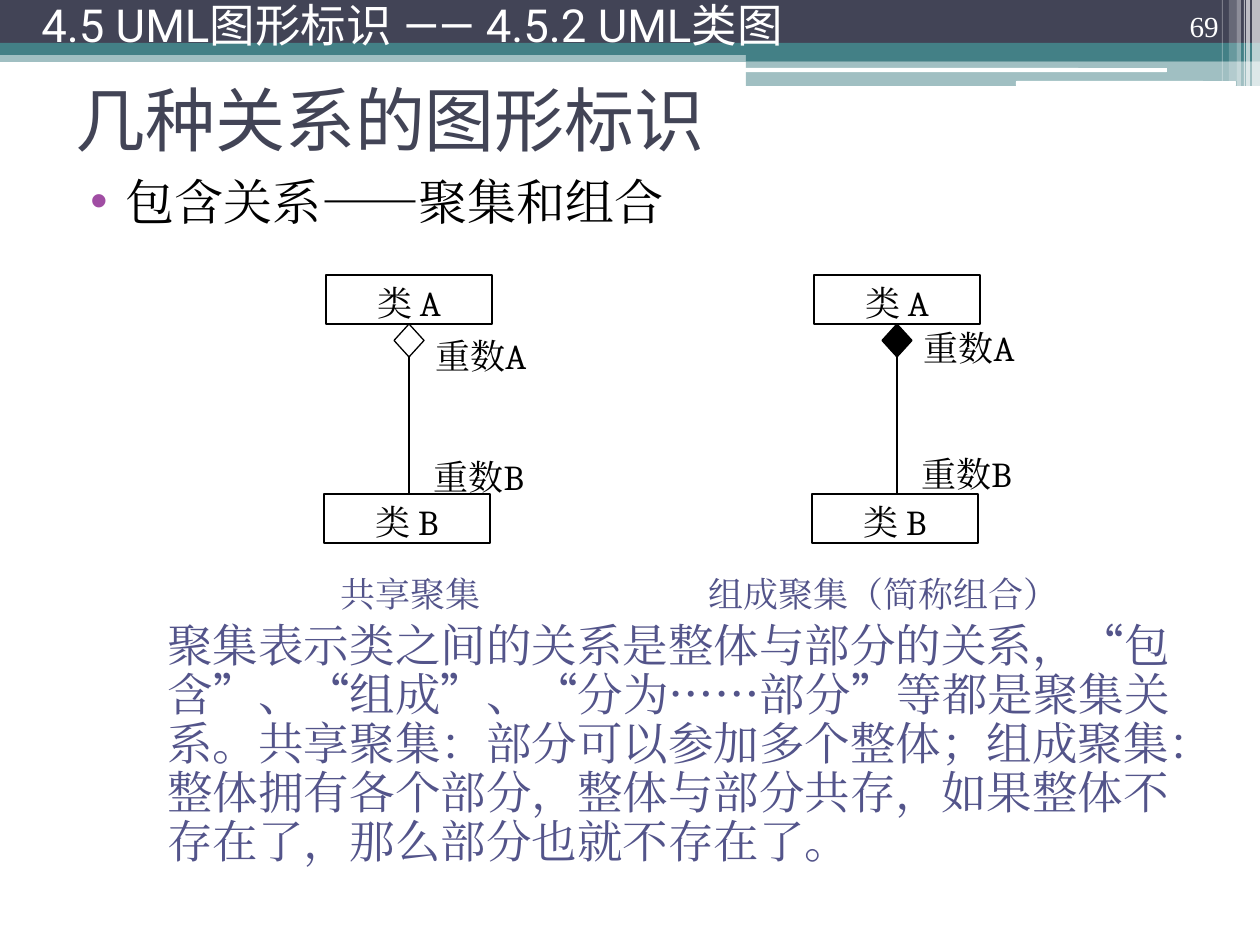
import pptx
import pptx.util
import pptx.dml.color
import pptx.enum.shapes
import pptx.enum.text
import pptx.oxml.ns
from lxml import etree

PX = 914400 / 126
SHAPE = pptx.enum.shapes.MSO_SHAPE
ALIGN = pptx.enum.text.PP_ALIGN
ANCHOR = pptx.enum.text.MSO_ANCHOR
qn = pptx.oxml.ns.qn
SERIF, SANS, CJK = "Cambria", "Roboto", "Noto Sans CJK SC"
BLACK, WHITE, DARK, TEAL, VIOLET = "000000", "FFFFFF", "424456", "438086", "53548A"


def px(n):
    return round(n * PX)


def rgb(color):
    return pptx.dml.color.RGBColor.from_string(color)


def add_run(p, text, size, font, color):
    r = p.add_run()
    r.text = text
    r.font.size = pptx.util.Pt(size)
    r.font.name = font
    r.font.color.rgb = rgb(color)
    r.font.language_id = pptx.enum.lang.MSO_LANGUAGE_ID.SIMPLIFIED_CHINESE
    ea = etree.Element(qn("a:ea"), typeface=font)
    r.font._element.find(qn("a:latin")).addnext(ea)


def add_text(s, box, text, size, font, color, anchor=ANCHOR.TOP, align=ALIGN.LEFT, spacing=None):
    sp = s.shapes.add_textbox(*map(px, box))
    tf = sp.text_frame
    tf.word_wrap = True
    tf.vertical_anchor = anchor
    p = tf.paragraphs[0]
    p.alignment = align
    if spacing:
        p.line_spacing = spacing
    runs = [(text, font)] if isinstance(text, str) else text
    for part, name in runs:
        add_run(p, part, size, name, color)
    return p


def add_shape(s, kind, box, fill=None, line=None, alpha=100):
    sp = s.shapes.add_shape(kind, *map(px, box))
    sp.shadow.inherit = False
    if fill:
        sp.fill.solid()
        sp.fill.fore_color.rgb = rgb(fill)
        if alpha < 100:
            clr = sp.fill._xPr.find(qn("a:solidFill"))[0]
            etree.SubElement(clr, qn("a:alpha"), val=str(alpha * 1000))
    else:
        sp.fill.background()
    if line:
        sp.line.color.rgb = rgb(line)
        sp.line.width = pptx.util.Pt(0.75)
    else:
        sp.line.fill.background()
    return sp


def add_header(s, w):
    # Full-width bands, then the stepped bands on the right
    step = 746
    for x, y, h, color, alpha in [
        (0, 50, 12, TEAL, 50), (0, 0, 43, DARK, 100), (0, 43, 12, TEAL, 100),
        (step, 49, 12, TEAL, 100), (step, 61, 25, TEAL, 50),
    ]:
        add_shape(s, SHAPE.RECTANGLE, (x, y, w - x, h), color, alpha=alpha)
    for box in [(745, 68, 422, 4), (1016, 81, 220, 5)]:
        add_shape(s, SHAPE.ROUNDED_RECTANGLE, box, WHITE)
    # Pale vertical stripes, measured from the right edge
    for right, width, h, alpha in [
        (8, 8, 86, 65), (14, 4, 86, 65), (16, 1, 86, 60),
        (23, 4, 86, 40), (31, 8, 81, 20), (38, 1, 81, 30),
    ]:
        add_shape(s, SHAPE.RECTANGLE, (w - right, 0, width, h), WHITE, alpha=alpha)
    # Section name and page number
    add_text(s, (1126, 0, 105, 50), "69", 16.6, "Times New Roman", WHITE,
             ANCHOR.BOTTOM, ALIGN.RIGHT, 0.9)
    add_text(s, (29, 0, 896, 59), "4.5 UML图形标识 —— 4.5.2 UML类图", 26, SANS, WHITE,
             ANCHOR.MIDDLE, spacing=0.8)


def add_class(s, x, y, name):
    sp = add_shape(s, SHAPE.RECTANGLE, (x, y, 166, 49), line=BLACK)
    tf = sp.text_frame
    tf.vertical_anchor = ANCHOR.TOP
    p = tf.paragraphs[0]
    p.alignment = ALIGN.CENTER
    add_run(p, name, 20, SERIF, BLACK)


def add_diagram(s, x, y, diamond_fill, label_tops):
    # Whole above, part below
    add_class(s, x, y, "类 A")
    add_class(s, x - 2, y + 219, "类 B")
    # Diamond and association line
    diamond = add_shape(s, SHAPE.DIAMOND, (x + 68, y + 49, 30, 33), diamond_fill, BLACK)
    mid = px(x + 83)
    line = s.shapes.add_connector(pptx.enum.shapes.MSO_CONNECTOR.STRAIGHT,
                                  mid, px(y + 82), mid, px(y + 219))
    line.begin_connect(diamond, 2)
    line.line.color.rgb = rgb(BLACK)
    line.line.width = pptx.util.Pt(0.75)
    etree.SubElement(line._element.spPr, qn("a:effectLst"))
    # Multiplicities
    for name, dx, dy in zip(("重数A", "重数B"), (97, 95), label_tops):
        add_text(s, (x + dx, y + dy, 165, 53), name, 20, SERIF, BLACK)


def add_bullet(s, box, runs):
    p = add_text(s, box, runs, 28, SERIF, BLACK)
    pPr = p._p.get_or_add_pPr()
    pPr.set("marL", str(px(50)))
    pPr.set("indent", str(px(-35)))
    color = etree.SubElement(pPr, qn("a:buClr"))
    etree.SubElement(color, qn("a:srgbClr"), val="A04DA3")
    etree.SubElement(pPr, qn("a:buFont"), typeface="Arial")
    etree.SubElement(pPr, qn("a:buChar"), char="•")


def add_explanation(s, box):
    runs = [
        ("聚集表示类之间的关系是整体与部分的关系，", SERIF), ("“", CJK), ("包含", SERIF),
        ("”", CJK), ("、", SERIF), ("“", CJK), ("组成", SERIF), ("”", CJK), ("、", SERIF),
        ("“", CJK), ("分为", SERIF), ("……", CJK), ("部分", SERIF), ("”", CJK),
        ("等都是聚集关系。共享聚集：部分可以参加多个整体；组成聚集：整体拥有各个部分，"
         "整体与部分共存，如果整体不存在了，那么部分也就不存在了。", SERIF),
    ]
    add_text(s, box, runs, 26, SERIF, VIOLET, spacing=pptx.util.Pt(28))


def main():
    prs = pptx.Presentation()
    prs.slide_width, prs.slide_height = px(1260), px(945)
    s = prs.slides.add_slide(prs.slide_layouts[6])
    add_header(s, 1260)
    add_text(s, (63, 45, 1134, 147), "几种关系的图形标识", 40, SANS, DARK, ANCHOR.MIDDLE)
    add_bullet(s, (63, 165, 1134, 72),
               [("包含关系", SERIF), ("——", CJK), ("聚集和组合", SERIF)])
    # Shared and composite aggregation with captions
    add_diagram(s, 326, 275, None, (53, 174))
    add_diagram(s, 814, 275, BLACK, (45, 171))
    add_text(s, (328, 566, 200, 53), "共享聚集", 20, SERIF, VIOLET)
    add_text(s, (696, 566, 400, 53), "组成聚集（简称组合）", 20, SERIF, VIOLET)
    add_explanation(s, (155, 616, 1042, 260))
    prs.save("out.pptx")


import pptx.enum.lang

if __name__ == "__main__":
    main()
